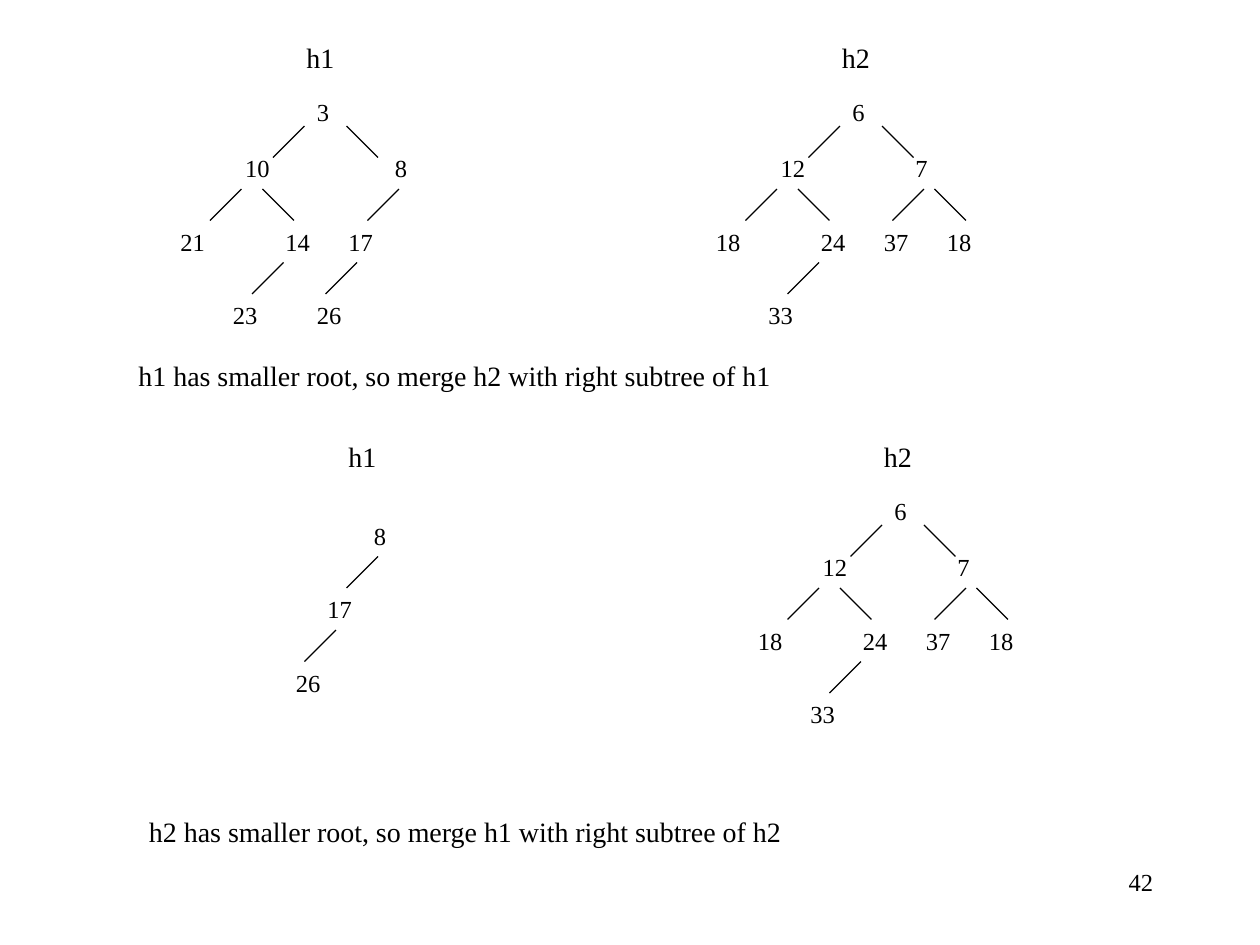
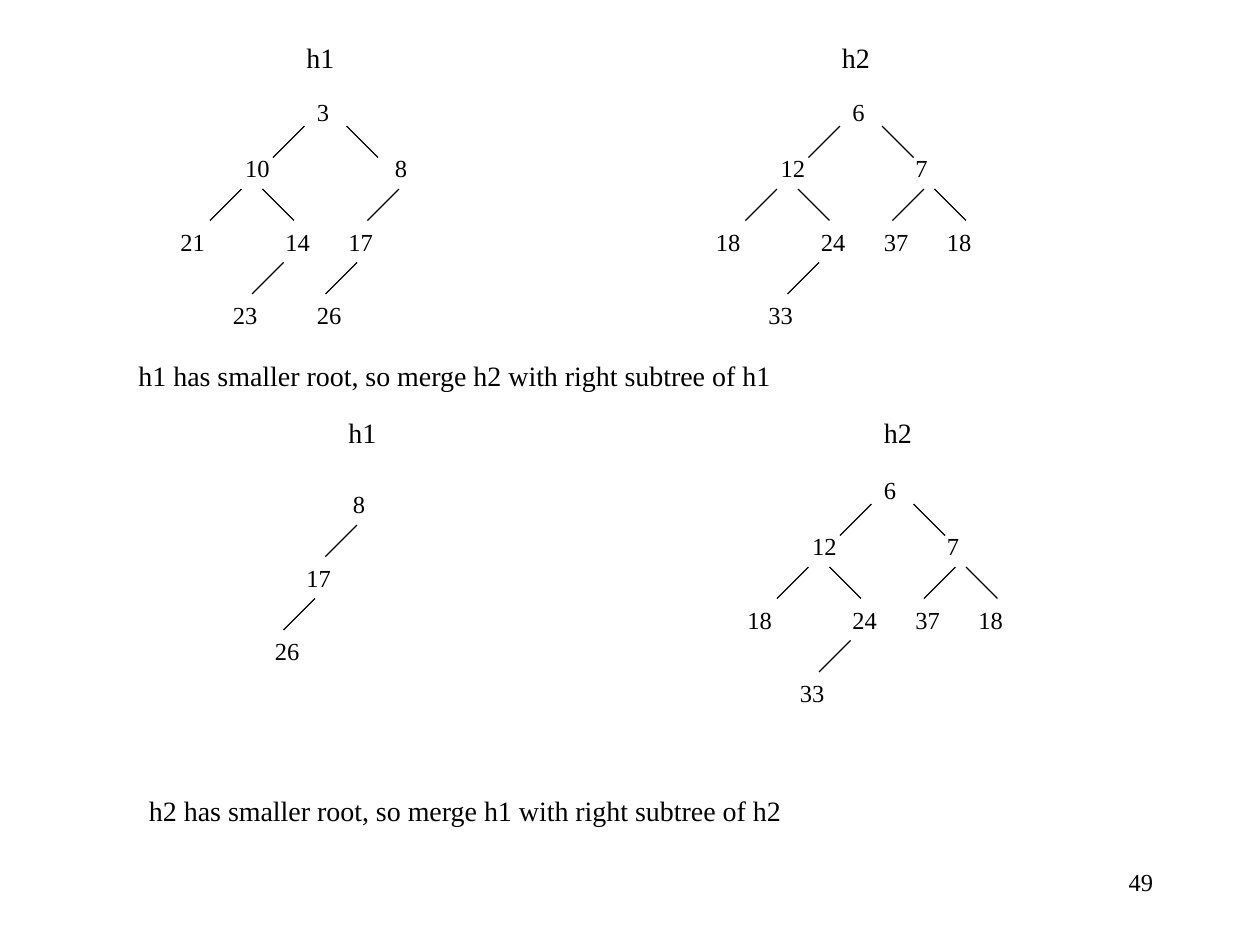
from dataclasses import dataclass
from typing import Optional

from lxml.etree import SubElement
from pptx import Presentation
from pptx.dml.color import RGBColor
from pptx.enum.shapes import MSO_CONNECTOR as CONN
from pptx.enum.text import MSO_AUTO_SIZE as AUTO, PP_ALIGN as ALIGN
from pptx.oxml.ns import qn
from pptx.util import Pt


def rgb(color):
    return RGBColor.from_string(color)


@dataclass
class Node:
    """Heap node; x, left and right (branch starts) count from the root's left."""
    key: str
    level: int
    x: float
    left: Optional[float] = None
    right: Optional[float] = None


H1_RIGHT = [
    Node("8", 1, 44.5, left=54),
    Node("17", 2, 18, left=30),
    Node("26", 3, 0),
]
H1 = [
    Node("3", 0, 0, left=0, right=24),
    Node("10", 1, -41, left=-36, right=-24),
    Node("21", 2, -78),
    Node("14", 2, -18, left=-12),
    Node("23", 3, -48),
] + H1_RIGHT
H2 = [
    Node("6", 0, 0, left=0, right=24),
    Node("12", 1, -41, left=-36, right=-24),
    Node("7", 1, 36, left=48, right=54),
    Node("18", 2, -78),
    Node("24", 2, -18, left=-12),
    Node("37", 2, 18),
    Node("18", 2, 54),
    Node("33", 3, -48),
]


class Deck:
    FONT = "Times New Roman"
    INK = "000000"
    PAPER = "FFFFFF"
    KEY_SIZE, TITLE_SIZE = 14, 16
    KEY_TOPS = (0, 32, 74, 116)
    BRANCH_TOPS = (20, 56, 98)
    BRANCH = 18

    def __init__(self):
        self.prs = Presentation()
        self.prs.slide_width, self.prs.slide_height = Pt(720), Pt(540)
        self.s = None

    def slide(self, number):
        self.s = self.prs.slides.add_slide(self.prs.slide_layouts[6])
        fill = self.s.background.fill
        fill.solid()
        fill.fore_color.rgb = rgb(self.PAPER)
        self.text(number, 534, 492, 132, 36, self.KEY_SIZE, ALIGN.RIGHT, fit=False)

    def text(self, words, x, y, w, h, size, align=ALIGN.LEFT, fit=True):
        """Add one line of text; a fitted box grows with it and does not wrap."""
        tf = self.s.shapes.add_textbox(Pt(x), Pt(y), Pt(w), Pt(h)).text_frame
        tf.word_wrap = not fit
        tf.auto_size = AUTO.SHAPE_TO_FIT_TEXT if fit else AUTO.NONE
        p = tf.paragraphs[0]
        p.alignment = align
        r = p.add_run()
        r.text = words
        r.font.name, r.font.size = self.FONT, Pt(size)
        r.font.color.rgb = rgb(self.INK)

    def title(self, words, x, y):
        self.text(words, x, y, 30.4, 26.6, self.TITLE_SIZE)

    def caption(self, words, x, y):
        self.text(words, x, y, 378, 26.6, self.TITLE_SIZE)

    def branch(self, x, y, side):
        """Draw a diagonal down to the left (side -1) or right (side 1)."""
        line = self.s.shapes.add_connector(
            CONN.STRAIGHT, Pt(x), Pt(y),
            Pt(x + side * self.BRANCH), Pt(y + self.BRANCH))
        line.line.color.rgb = rgb(self.INK)
        line.line.width = Pt(0.75)
        SubElement(line._element.spPr, qn("a:effectLst"))

    def tree(self, nodes, x, y):
        """Draw nodes with the root's box at x, y, even where the root is absent."""
        for n in nodes:
            self.text(n.key, x + n.x, y + self.KEY_TOPS[n.level],
                      14.4 + 7 * len(n.key), 24, self.KEY_SIZE)
            for start, side in ((n.left, -1), (n.right, 1)):
                if start is not None:
                    self.branch(x + start, y + self.BRANCH_TOPS[n.level], side)

    def merge_step(self, h1, h2, title_x, title_y, h1_at, h2_at):
        self.title("h1", title_x, title_y)
        self.title("h2", title_x + 306, title_y)
        self.tree(h1, *h1_at)
        self.tree(h2, *h2_at)


def main():
    deck = Deck()
    # number, second title top, second h1 and h2 origins, second caption top
    steps = [
        ("42", 247.7, (162, 262), (504, 280), 462),
        ("49", 234, (150, 244), (498, 268), 450),
    ]
    for number, title_y, h1_at, h2_at, caption_y in steps:
        deck.slide(number)
        deck.merge_step(H1, H2, 168, 19.5, (174, 52), (480, 52))
        deck.caption("h1 has smaller root, so merge h2 with right subtree of h1",
                     72, 201.6)
        deck.merge_step(H1_RIGHT, H2, 192, title_y, h1_at, h2_at)
        deck.caption("h2 has smaller root, so merge h1 with right subtree of h2",
                     78, caption_y)
    deck.prs.save("out.pptx")


if __name__ == "__main__":
    main()
